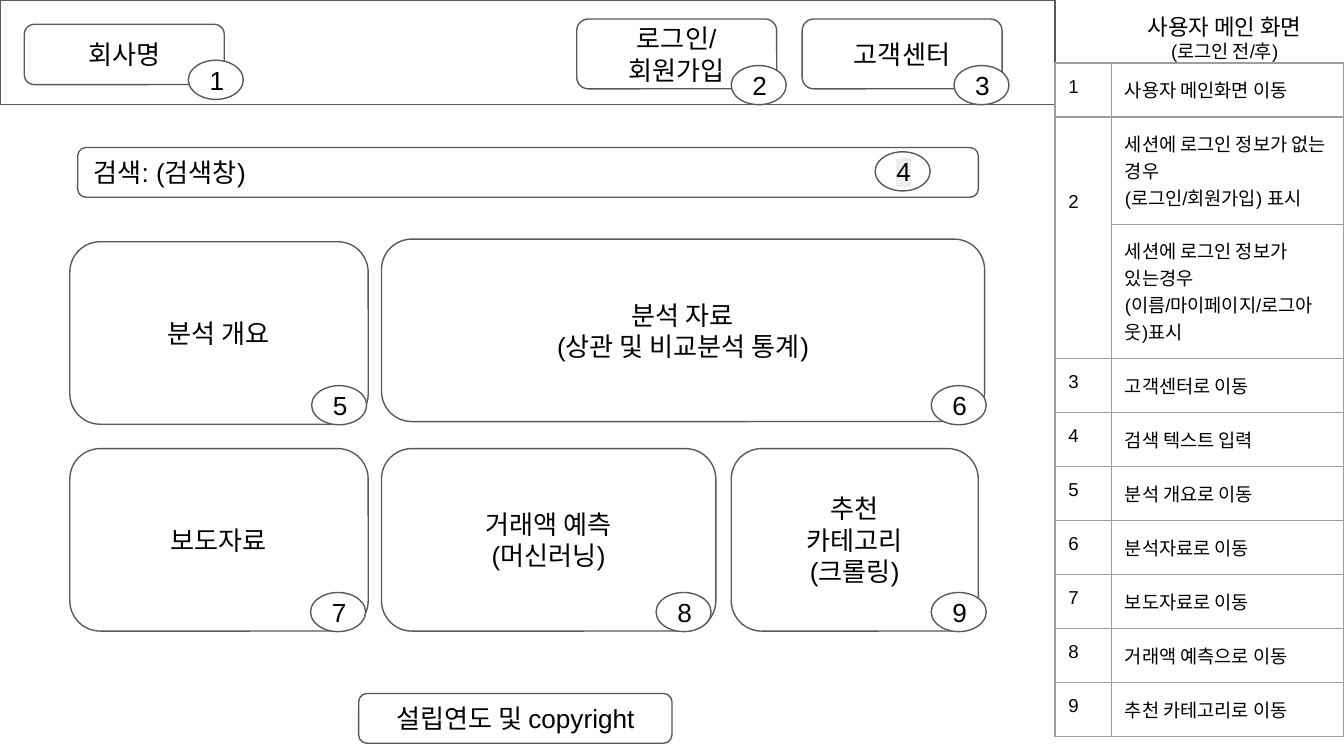
from pptx import Presentation
from pptx.dml.color import RGBColor
from pptx.enum.shapes import MSO_SHAPE
from pptx.enum.text import MSO_ANCHOR, PP_ALIGN
from pptx.oxml import parse_xml
from pptx.oxml.ns import nsdecls
from pptx.util import Cm, Pt

COLORS = {"text": "000000", "paper": "FFFFFF", "outline": "595959",
          "grid": "9E9E9E", "highlight": "EEEEEE"}
INSET = Cm(0.25)

deck = Presentation()
deck.slide_width, deck.slide_height = Cm(25.4), Cm(14.29)
page = deck.slides.add_slide(deck.slide_layouts[6])


def write(frame, lines, sizes, align):
    frame.word_wrap = True
    frame.margin_left = frame.margin_right = INSET
    frame.margin_top = frame.margin_bottom = INSET
    frame.text = "\n".join(lines)
    for para, size in zip(frame.paragraphs, sizes):
        para.alignment = align
        para.font.size = Pt(size)
        para.font.name = "Arial"
        para.font.color.rgb = RGBColor.from_string(COLORS["text"])


def add_box(kind, left, top, width, height, lines=(), align=PP_ALIGN.CENTER):
    box = page.shapes.add_shape(kind, Cm(left), Cm(top), Cm(width), Cm(height))
    box.shadow.inherit = False
    box.fill.solid()
    box.fill.fore_color.rgb = RGBColor.from_string(COLORS["paper"])
    box.line.color.rgb = RGBColor.from_string(COLORS["outline"])
    box.line.width = Pt(0.75)
    box.text_frame.vertical_anchor = MSO_ANCHOR.MIDDLE
    if lines:
        write(box.text_frame, lines, [14] * len(lines), align)
    return box


# Header band and search field
add_box(MSO_SHAPE.RECTANGLE, 0, 0, 19.94, 1.98)
add_box(MSO_SHAPE.ROUNDED_RECTANGLE, 1.47, 2.79, 17.02, 0.94,
        ["검색: (검색창)"], PP_ALIGN.LEFT)

# Wireframe panels
panels = [
    (0.46, 0.46, 3.78, 1.14, ["회사명"]),
    (10.9, 0.36, 3.78, 1.32, ["로그인/", "회원가입"]),
    (15.16, 0.36, 3.78, 1.32, ["고객센터"]),
    (1.32, 4.57, 5.64, 3.45, ["분석 개요"]),
    (7.21, 4.52, 11.4, 3.45, ["분석 자료", "(상관 및 비교분석 통계)"]),
    (1.32, 8.48, 5.64, 3.45, ["보도자료"]),
    (7.21, 8.48, 6.32, 3.45, ["거래액 예측", "(머신러닝)"]),
    (13.82, 8.48, 4.67, 3.45, ["추천", "카테고리", "(크롤링)"]),
    (6.78, 13.11, 5.92, 0.94, ["설립연도 및 copyright"]),
]
for panel in panels:
    add_box(MSO_SHAPE.ROUNDED_RECTANGLE, *panel)

# Numbered badges
badge_places = [(3.56, 1.14), (13.82, 1.24), (18.03, 1.24),
                (16.54, 2.87), (5.89, 7.29), (17.6, 7.29),
                (5.87, 11.2), (12.4, 11.2), (17.6, 11.2)]
for number, (left, top) in enumerate(badge_places, 1):
    badge = add_box(MSO_SHAPE.FLOWCHART_CONNECTOR, left, top, 1.04, 0.74, [str(number)])
    if number == 4:
        span = badge.text_frame.paragraphs[0].runs[0]
        span.font._element.append(parse_xml(
            f'<a:highlight {nsdecls("a")}><a:srgbClr val="{COLORS["highlight"]}"/></a:highlight>'))

# Description title
title = page.shapes.add_textbox(Cm(21.01), Cm(0), Cm(4.27), Cm(1.45))
write(title.text_frame, ["사용자 메인 화면", "(로그인 전/후)"], [12, 10], PP_ALIGN.CENTER)

# Description table: number, lines, row height
rows = [
    ("1", ["사용자 메인화면 이동"], 1.02),
    ("2", ["세션에 로그인 정보가 없는 경우", "(로그인/회원가입) 표시"], 2.03),
    ("", ["세션에 로그인 정보가 있는경우", "(이름/마이페이지/로그아웃)표시"], 2.54),
    ("3", ["고객센터로 이동"], 1.02),
    ("4", ["검색 텍스트 입력"], 1.02),
    ("5", ["분석 개요로 이동"], 1.02),
    ("6", ["분석자료로 이동"], 1.02),
    ("7", ["보도자료로 이동"], 1.02),
    ("8", ["거래액 예측으로 이동"], 1.02),
    ("9", ["추천 카테고리로 이동"], 1.02),
]
total = sum(height for _, _, height in rows)
table = page.shapes.add_table(len(rows), 2, Cm(19.94), Cm(1.19), Cm(5.46), Cm(total)).table
table.first_row = table.horz_banding = False
for column, width in zip(table.columns, (1.07, 4.39)):
    column.width = Cm(width)

for index, (number, lines, height) in enumerate(rows):
    table.rows[index].height = Cm(height)
    for cell, words in zip(table.rows[index].cells, ([number], lines)):
        write(cell.text_frame, words, [10] * len(words), PP_ALIGN.LEFT)
        cell.margin_left = cell.margin_right = INSET
        cell.margin_top = cell.margin_bottom = INSET
        cell.fill.background()
        for place, side in enumerate(("lnL", "lnR", "lnT", "lnB")):
            cell._tc.get_or_add_tcPr().insert(place, parse_xml(
                f'<a:{side} {nsdecls("a")} w="9525"><a:solidFill>'
                f'<a:srgbClr val="{COLORS["grid"]}"/></a:solidFill></a:{side}>'))

# Number 2 covers both login states
login_cell = table.cell(1, 0)
login_cell.merge(table.cell(2, 0))
login_cell.margin_top, login_cell.margin_bottom = Cm(1.42), Cm(0)

deck.save("out.pptx")
